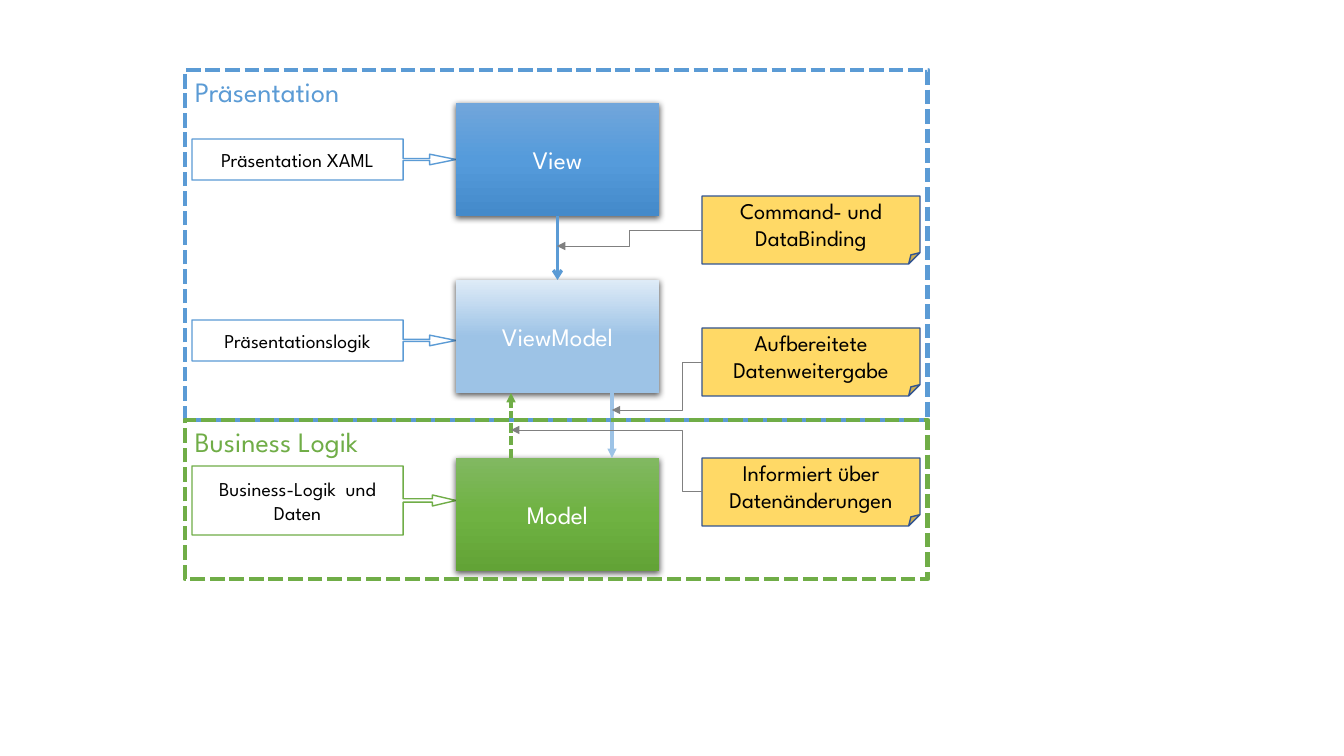
import pptx
import pptx.util
import pptx.dml.color
import pptx.enum.dml
import pptx.enum.shapes
import pptx.enum.text
import pptx.oxml
import pptx.oxml.ns

PX = 914400 / 100.8
FONT = "League Spartan"
COLORS = {
    "blue": "5B9BD5", "light_blue": "9DC3E6", "green": "70AD47", "gray": "808080",
    "note": "FFD966", "note_line": "325491", "white": "FFFFFF", "black": "000000",
}
GRADIENTS = {
    "View": ("71A6DB", "559BDB", "448ACA"),
    "ViewModel": ("DEEBF7", "9DC3E6", "9DC3E6"),
    "Model": ("81B861", "6FB242", "62A336"),
}
SHAPE = pptx.enum.shapes.MSO_SHAPE
CONNECTOR = pptx.enum.shapes.MSO_CONNECTOR
ALIGN = pptx.enum.text.PP_ALIGN
ANCHOR = pptx.enum.text.MSO_ANCHOR
DASH = pptx.enum.dml.MSO_LINE.SQUARE_DOT
NS = pptx.oxml.ns.nsdecls("a")


def px(length):
    return pptx.util.Emu(round(length * PX))


def rgb(name):
    return pptx.dml.color.RGBColor.from_string(COLORS[name])


def style_line(line, color, width, dash=None):
    line.color.rgb = rgb(color)
    line.width = pptx.util.Pt(width)
    if dash:
        line.dash_style = dash


def add_block(slide, kind, box, text, size, color, fill=None,
              align=ALIGN.CENTER, anchor=ANCHOR.MIDDLE):
    block = slide.shapes.add_shape(kind, *map(px, box))
    block.shadow.inherit = False
    if fill:
        block.fill.solid()
        block.fill.fore_color.rgb = rgb(fill)
    else:
        block.fill.background()
    frame = block.text_frame
    frame.word_wrap = True
    frame.vertical_anchor = anchor
    frame.text = text
    paragraph = frame.paragraphs[0]
    paragraph.alignment = align
    paragraph.font.name = FONT
    paragraph.font.size = pptx.util.Pt(size)
    paragraph.font.color.rgb = rgb(color)
    return block


def add_layer(slide, box, name):
    layer = add_block(slide, SHAPE.RECTANGLE, box, name, 18, "white")
    layer.line.fill.background()
    # Three-stop vertical gradient and soft shadow
    stops = "".join(f'<a:gs pos="{i * 50000}"><a:srgbClr val="{c}"/></a:gs>'
                    for i, c in enumerate(GRADIENTS[name]))
    gradient = pptx.oxml.parse_xml(
        f'<a:gradFill {NS} rotWithShape="1"><a:gsLst>{stops}</a:gsLst>'
        '<a:lin ang="5400000" scaled="0"/></a:gradFill>')
    properties = layer._element.spPr
    properties.replace(properties.find(pptx.oxml.ns.qn("a:noFill")), gradient)
    properties.find(pptx.oxml.ns.qn("a:effectLst")).append(pptx.oxml.parse_xml(
        f'<a:outerShdw {NS} blurRad="57150" dist="19050" dir="5400000" algn="ctr" '
        'rotWithShape="0"><a:srgbClr val="000000"><a:alpha val="63000"/>'
        '</a:srgbClr></a:outerShdw>'))
    return layer


def add_callout(slide, box, text, color, adjustments):
    callout = add_block(slide, SHAPE.RIGHT_ARROW_CALLOUT, box, text, 14, "black", "white")
    style_line(callout.line, color, 1)
    for i, value in enumerate(adjustments):
        callout.adjustments[i] = value


def add_note(slide, box, text):
    note = add_block(slide, SHAPE.FOLDED_CORNER, box, text, 16, "black", "note")
    style_line(note.line, "note_line", 1)


def add_wire(slide, start, end, color, width, arrow="tailEnd", head="triangle",
             dash=None, bend=None):
    kind = CONNECTOR.STRAIGHT if bend is None else CONNECTOR.ELBOW
    wire = slide.shapes.add_connector(kind, *map(px, start + end))
    style_line(wire.line, color, width, dash)
    properties = wire._element.spPr
    wire.line._get_or_add_ln().append(pptx.oxml.parse_xml(f'<a:{arrow} {NS} type="{head}"/>'))
    properties.append(pptx.oxml.parse_xml(f"<a:effectLst {NS}/>"))
    if bend is not None:
        properties.prstGeom.get_or_add_avLst().append(pptx.oxml.parse_xml(
            f'<a:gd {NS} name="adj1" fmla="val {round(bend * 100000)}"/>'))
    return wire


def draw_region(slide, box, color, layers, callouts, notes):
    """Place layers, callouts and notes in columns inside the region."""
    left, top = box[:2]
    for y, height, text, adjustments in callouts:
        add_callout(slide, (left + 7, top + y, 264, height), text, color, adjustments)
    for y, text in notes:
        add_note(slide, (left + 517, top + y, 218, 68), text)
    return [add_layer(slide, (left + 271, top + y, 203, 113), name) for y, name in layers]


def draw_frame(slide, box, title, color):
    frame = add_block(slide, SHAPE.RECTANGLE, box, title, 20, color,
                      align=ALIGN.LEFT, anchor=ANCHOR.TOP)
    style_line(frame.line, color, 3.5, DASH)


def draw_wires(slide, box, view, view_model):
    left, top = box[:2]
    center, down, up = left + 372, left + 427, left + 326
    # Links between the layers
    binding = add_wire(slide, (center, top + 210), (center, top + 146), "blue", 2.25,
                       arrow="headEnd", head="arrow")
    binding.begin_connect(view_model, 0)
    binding.end_connect(view, 2)
    add_wire(slide, (down, top + 323), (down, top + 388), "light_blue", 2.25)
    add_wire(slide, (up, top + 388), (up, top + 323), "green", 2.25, dash=DASH)
    # Pointers from the notes to the links
    for note_y, x, y, bend in ((160, center, 176, 0.5),
                               (292, down, 340, 0.22),
                               (421, up, 360, 0.1)):
        add_wire(slide, (left + 517, top + note_y), (x, top + y), "gray", 0.5, bend=bend)


def main():
    deck = pptx.Presentation()
    deck.slide_width, deck.slide_height = px(1344), px(756)
    slide = deck.slides.add_slide(deck.slide_layouts[6])

    presentation_box = (185, 70, 743, 350)
    business_box = (185, 420, 743, 159)
    slim_arrow = (0.05, 0.13, 0.64, 0.8)
    tall_arrow = (0.05, 0.08, 0.34, 0.8)

    view, view_model = draw_region(
        slide, presentation_box, "blue",
        layers=[(33, "View"), (210, "ViewModel")],
        callouts=[(69, 41, "Präsentation XAML", slim_arrow),
                  (250, 41, "Präsentationslogik", slim_arrow)],
        notes=[(126, "Command- und DataBinding"),
               (258, "Aufbereitete Datenweitergabe")])
    draw_region(
        slide, business_box, "green",
        layers=[(38, "Model")],
        callouts=[(46, 69, "Business-Logik  und Daten", tall_arrow)],
        notes=[(38, "Informiert über Datenänderungen")])
    draw_wires(slide, presentation_box, view, view_model)
    draw_frame(slide, presentation_box, "Präsentation", "blue")
    draw_frame(slide, business_box, "Business Logik", "green")

    deck.save("out.pptx")


if __name__ == "__main__":
    main()
